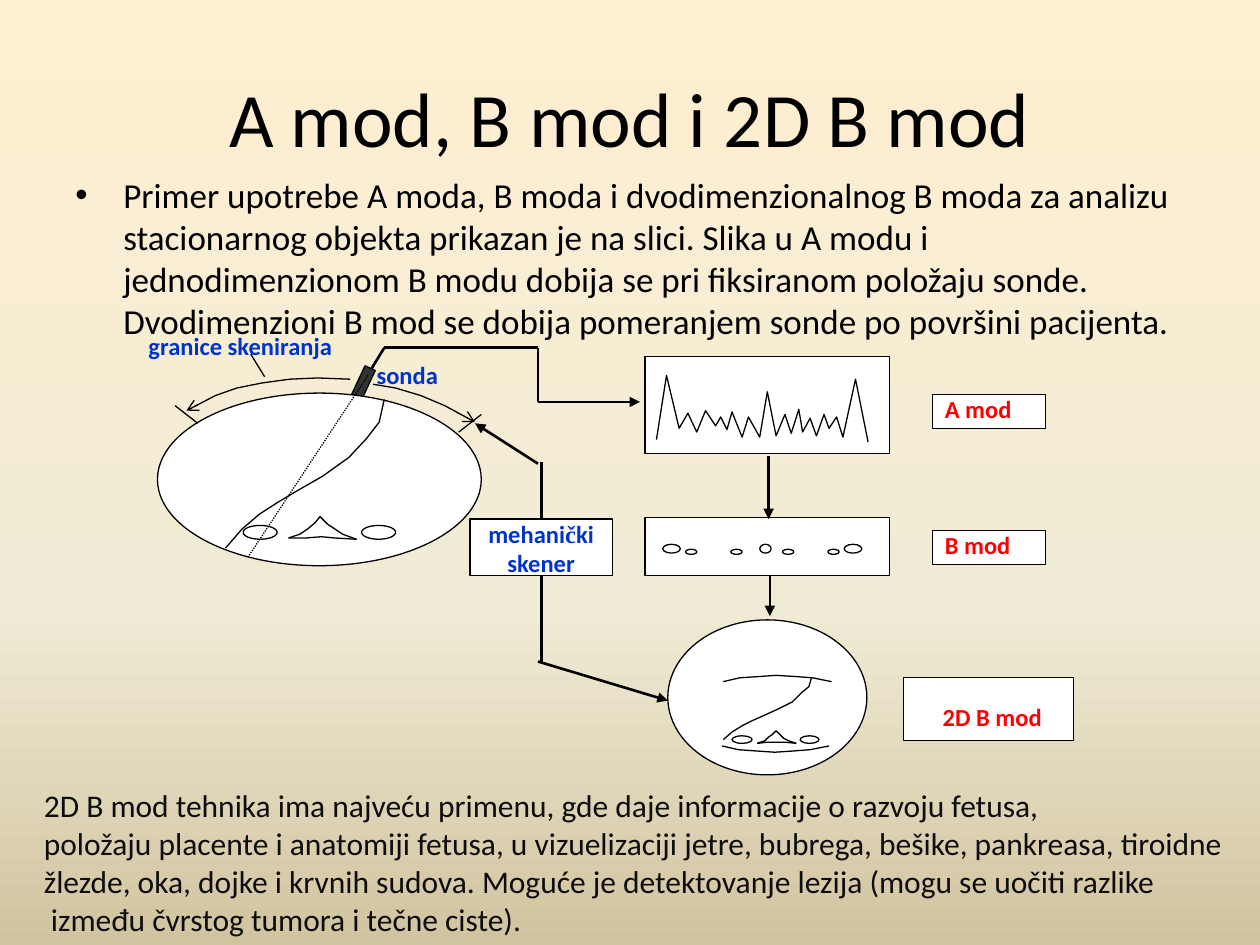
from lxml.etree import SubElement
from pptx import Presentation
from pptx.dml.color import RGBColor
from pptx.enum.dml import MSO_LINE
from pptx.enum.shapes import MSO_CONNECTOR, MSO_SHAPE
from pptx.enum.text import MSO_ANCHOR, PP_ALIGN
from pptx.oxml.ns import qn
from pptx.util import Inches, Pt

# The slide is a grid of 1000 columns by 750 rows; every position counts cells.
CELL = Inches(10) // 1000
BLACK, WHITE, BLUE, RED = "000000", "FFFFFF", "0033CC", "FF0000"
THIN, THICK = 0.75, 1.5

TITLE = "A mod, B mod i 2D B mod"
INTRO = (
    "Primer upotrebe A moda, B moda i dvodimenzionalnog B moda za analizu "
    "stacionarnog objekta prikazan je na slici. Slika u A modu i "
    "jednodimenzionom B modu dobija se pri fiksiranom položaju sonde. "
    "Dvodimenzioni B mod se dobija pomeranjem sonde po površini pacijenta."
)
SUMMARY = [
    "2D B mod tehnika ima najveću primenu, gde daje informacije o razvoju fetusa,",
    "položaju placente i anatomiji fetusa, u vizuelizaciji jetre, bubrega, bešike, pankreasa, tiroidne",
    "žlezde, oka, dojke i krvnih sudova. Moguće je detektovanje lezija (mogu se uočiti razlike",
    " između čvrstog tumora i tečne ciste).",
]

ECHO_SIGNAL = [
    (521, 349), (529, 298), (539, 340), (546, 328), (553, 343), (560, 326),
    (568, 338), (572, 331), (577, 341), (581, 327), (589, 347), (594, 331),
    (603, 347), (609, 311), (616, 346), (623, 329), (628, 344), (634, 325),
    (637, 343), (643, 332), (648, 346), (654, 329), (658, 340), (664, 331),
    (669, 347), (679, 301), (689, 351),
]
BODY_CURVES = [
    [(229, 427), (238, 424), (244, 420), (250, 415), (254, 410), (260, 416),
     (266, 420), (272, 424), (283, 428)],
    [(229, 427), (243, 427), (255, 426), (266, 427), (283, 428)],
    [(305, 317), (301, 335), (291, 348), (277, 363), (256, 378), (235, 390),
     (220, 399), (206, 408), (192, 420), (179, 435)],
]
IMAGE_CURVES = [
    [(601, 590), (607, 588), (610, 585), (613, 583), (616, 580), (619, 583),
     (622, 586), (626, 588), (632, 590)],
    [(601, 590), (609, 589), (616, 589), (623, 589), (632, 590)],
    [(573, 592), (586, 595), (600, 596), (615, 597), (630, 596), (643, 595), (658, 592)],
    [(644, 538), (642, 545), (636, 550), (629, 557), (617, 563), (606, 568),
     (597, 572), (589, 576), (581, 581), (574, 587)],
    [(574, 541), (587, 538), (602, 537), (616, 536), (632, 537), (645, 538), (660, 541)],
]
RIGHT_SWEEP = [(296, 305), (314, 308), (334, 314), (353, 322), (377, 335)]
LEFT_SWEEP = [(148, 326), (171, 314), (188, 308), (208, 304), (230, 301), (252, 300), (278, 301)]


def color(hex_text):
    return RGBColor.from_string(hex_text)


def cells(*counts):
    return [count * CELL for count in counts]


def paint_background(page, stops):
    fill = page.background.fill
    fill.gradient()
    fill.gradient_angle = 270
    stop_list = page.element.find(".//" + qn("a:gsLst"))
    for stop in list(stop_list):
        stop_list.remove(stop)
    for percent, shade in stops:
        stop = SubElement(stop_list, qn("a:gs"), pos=str(percent * 1000))
        SubElement(stop, qn("a:srgbClr"), val=shade)


def style_line(shape, width, **ends):
    """Black outline; ends maps headEnd or tailEnd to an arrow type."""
    shape.line.color.rgb = color(BLACK)
    shape.line.width = Pt(width)
    outline = shape.line._get_or_add_ln()
    for end in ("headEnd", "tailEnd"):
        if end in ends:
            SubElement(outline, qn("a:" + end), type=ends[end])


def add_text(page, place, paragraphs, size, shade=BLACK, bold=False,
             align=PP_ALIGN.LEFT, anchor=MSO_ANCHOR.TOP, wrap=True, bullet=False):
    """Each paragraph is a string or a list of (text, font) pairs."""
    frame = page.shapes.add_textbox(*cells(*place)).text_frame
    frame.word_wrap = wrap
    frame.vertical_anchor = anchor
    for index, content in enumerate(paragraphs):
        para = frame.paragraphs[0] if index == 0 else frame.add_paragraph()
        para.alignment = align
        if bullet:
            settings = para._p.get_or_add_pPr()
            settings.set("marL", str(38 * CELL))
            settings.set("indent", str(-38 * CELL))
            SubElement(settings, qn("a:buFont"), typeface="Arial")
            SubElement(settings, qn("a:buChar"), char="•")
        pieces = [(content, "Calibri")] if isinstance(content, str) else content
        for text, font_name in pieces:
            span = para.add_run()
            span.text = text
            span.font.name = font_name
            span.font.size = Pt(size)
            span.font.bold = bold
            span.font.color.rgb = color(shade)


def add_outlined(page, kind, place, shade=WHITE, turn=0):
    shape = page.shapes.add_shape(kind, *cells(*place))
    shape.shadow.inherit = False
    shape.fill.solid()
    shape.fill.fore_color.rgb = color(shade)
    shape.rotation = turn
    style_line(shape, THIN)


def add_ellipses(page, places):
    for place in places:
        add_outlined(page, MSO_SHAPE.OVAL, place)


def add_line(page, start, finish, width=THICK, dash=None, **ends):
    line = page.shapes.add_connector(MSO_CONNECTOR.STRAIGHT, *cells(*start, *finish))
    if dash:
        line.line.dash_style = dash
    style_line(line, width, **ends)
    SubElement(line._element.spPr, qn("a:effectLst"))


def add_curve(page, points, **ends):
    builder = page.shapes.build_freeform(*points[0], scale=CELL)
    builder.add_line_segments(points[1:], close=False)
    curve = builder.convert_to_shape()
    curve.shadow.inherit = False
    curve.fill.background()
    style_line(curve, THIN, **ends)


def draw_scanner(page):
    add_outlined(page, MSO_SHAPE.RECTANGLE, (373, 412, 113, 45))
    add_text(page, (373, 407, 113, 68),
             [[("mehani", "Calibri"), ("č", "Times New Roman"), ("ki skener", "Calibri")]],
             14, BLUE, bold=True, align=PP_ALIGN.CENTER)
    cable = [(283, 312), (305, 276), (427, 276), (427, 319)]
    for start, finish in zip(cable, cable[1:]):
        add_line(page, start, finish)
    add_line(page, cable[-1], (508, 319), tailEnd="triangle")
    add_outlined(page, MSO_SHAPE.RECTANGLE, (284, 291, 9, 25), "333333", turn=25)


def draw_patient(page):
    add_ellipses(page, [(125, 312, 257, 137), (193, 417, 27, 11), (287, 417, 27, 11)])
    for points in BODY_CURVES:
        add_curve(page, points)
    add_line(page, (292, 298), (197, 442), THIN, dash=MSO_LINE.ROUND_DOT)
    add_line(page, (364, 343), (382, 329), THIN)
    add_line(page, (157, 336), (139, 322), THIN)
    add_curve(page, RIGHT_SWEEP, tailEnd="arrow")
    add_curve(page, LEFT_SWEEP, headEnd="arrow")
    add_text(page, (108, 258, 186, 36), ["granice skeniranja"], 14, BLUE, bold=True)
    add_line(page, (199, 281), (210, 299), THIN)
    add_text(page, (289, 281, 85, 36), ["sonda"], 14, BLUE, bold=True)


def draw_displays(page):
    add_outlined(page, MSO_SHAPE.RECTANGLE, (512, 283, 194, 77))
    add_curve(page, ECHO_SIGNAL)
    add_outlined(page, MSO_SHAPE.RECTANGLE, (512, 411, 194, 46))
    add_ellipses(page, [(603, 432, 9, 7)])
    add_ellipses(page, [(left, 432, 14, 7) for left in (526, 670)])
    add_ellipses(page, [(left, 436, 9, 4) for left in (544, 580, 621, 657)])
    add_ellipses(page, [(530, 492, 158, 123), (581, 584, 16, 6), (635, 584, 15, 6)])
    for points in IMAGE_CURVES:
        add_curve(page, points)


def draw_connections(page):
    add_line(page, (610, 362), (610, 412), tailEnd="triangle")
    add_line(page, (611, 457), (611, 489), tailEnd="triangle")
    add_line(page, (377, 336), (427, 368), headEnd="triangle")
    add_line(page, (430, 367), (430, 412))
    add_line(page, (430, 457), (430, 525))
    add_line(page, (427, 525), (530, 556), tailEnd="triangle")


def label_modes(page):
    for name, top in (("A mod", 313), ("B mod", 421)):
        add_outlined(page, MSO_SHAPE.RECTANGLE, (740, top, 90, 27))
        add_text(page, (740, top - 5, 102, 32), [name], 14, RED, bold=True)
    add_outlined(page, MSO_SHAPE.RECTANGLE, (717, 538, 135, 50))
    add_text(page, (717, 552, 141, 34), ["2D B mod"], 14, RED, bold=True,
             align=PP_ALIGN.CENTER)


def main():
    deck = Presentation()
    deck.slide_width, deck.slide_height = cells(1000, 750)
    page = deck.slides.add_slide(deck.slide_layouts[6])
    paint_background(page, [(0, "FFEFD1"), (65, "F0EBD5"), (100, "D1C39F")])
    add_text(page, (50, 30, 900, 125), [TITLE], 44,
             align=PP_ALIGN.CENTER, anchor=MSO_ANCHOR.MIDDLE)
    add_text(page, (50, 133, 892, 150), [INTRO], 20, bullet=True)
    draw_scanner(page)
    draw_patient(page)
    draw_displays(page)
    draw_connections(page)
    label_modes(page)
    add_text(page, (25, 619, 973, 131), SUMMARY, 18, "0D0D0D", wrap=False)
    deck.save("out.pptx")


if __name__ == "__main__":
    main()
